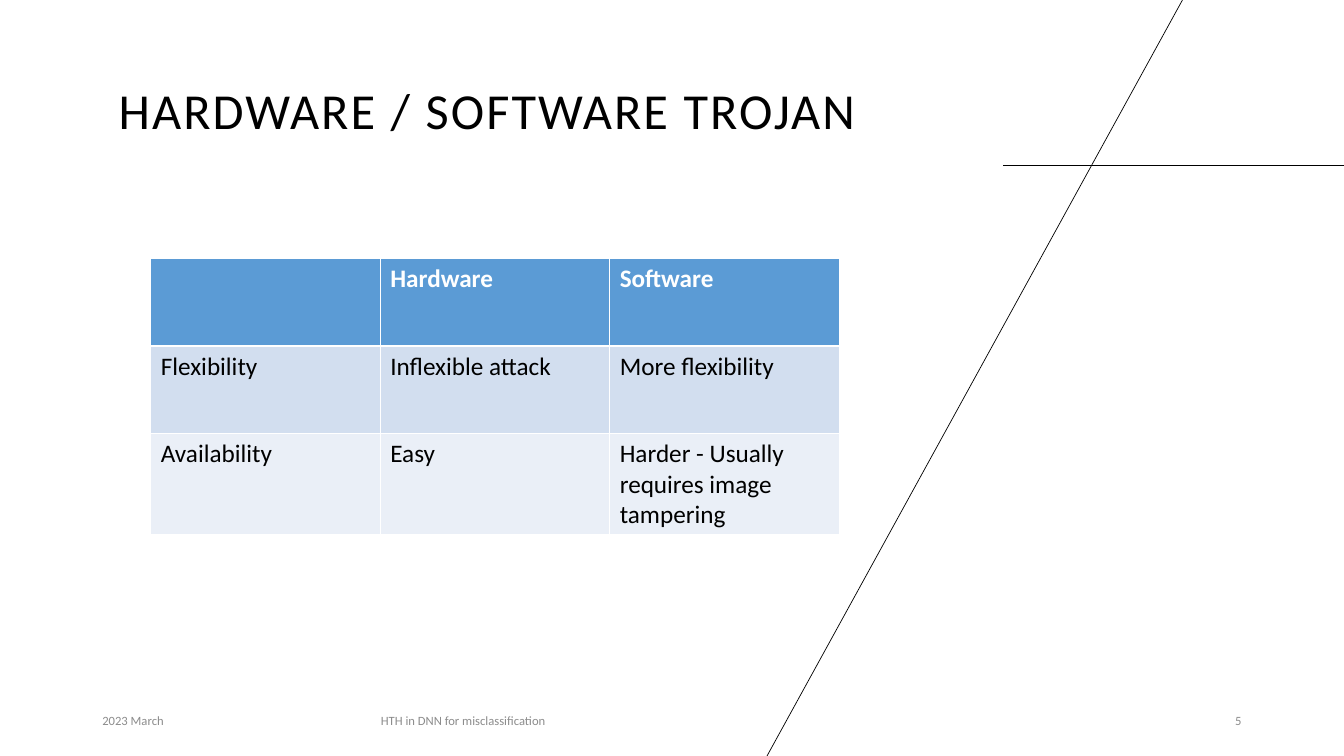
from lxml.etree import SubElement
from pptx import Presentation
from pptx.dml.color import RGBColor
from pptx.enum.shapes import MSO_CONNECTOR
from pptx.enum.text import MSO_ANCHOR, PP_ALIGN
from pptx.oxml.ns import qn
from pptx.util import Cm, Pt

PAGE_WIDTH, PAGE_HEIGHT = 33.87, 19.05
ROWS = [
    ("", "Hardware", "Software"),
    ("Flexibility", "Inflexible attack", "More flexibility"),
    ("Availability", "Easy", "Harder - Usually requires image tampering"),
]
ROW_FILLS = ["5B9BD5", "D2DEEF", "EAEFF7"]


def color(value):
    """Turn a hex string into a colour."""
    return RGBColor.from_string(value)


def style(para, size, ink, bold=False):
    """Set the font of a whole paragraph."""
    para.font.name = "Calibri"
    para.font.size = Pt(size)
    para.font.bold = bold
    para.font.color.rgb = color(ink)


def add_text(page, box, text, size, ink, anchor, align=PP_ALIGN.LEFT):
    """Place one line of text in a box and return its paragraph."""
    frame = page.shapes.add_textbox(*map(Cm, box)).text_frame
    frame.word_wrap = True
    frame.vertical_anchor = anchor
    para = frame.paragraphs[0]
    para.text = text
    para.alignment = align
    style(para, size, ink)
    return para


def add_crossing_lines(page, box):
    """Draw the diagonal and the horizontal hairline within a box."""
    left, top, width, height = box
    right, bottom = left + width, top + height
    ends = [
        (right - 8.59, top + 4.17, right, top + 4.17),
        (right - 4.07, top, left, bottom),
    ]
    for points in ends:
        line = page.shapes.add_connector(MSO_CONNECTOR.STRAIGHT, *map(Cm, points))
        line.line.color.rgb = color("000000")
        line.line.width = Pt(0.5)
        SubElement(line._element.spPr, qn("a:effectLst"))


def add_title(page, box):
    """Place the letter-spaced title at the bottom of a box."""
    para = add_text(page, box, "HARDWARE / SOFTWARE TROJAN", 36, "000000", MSO_ANCHOR.BOTTOM)
    para.line_spacing = 0.9
    para.runs[0]._r.get_or_add_rPr().set("spc", "150")


def add_comparison(page, box):
    """Fill a box with the table comparing both kinds of trojan."""
    table = page.shapes.add_table(len(ROWS), len(ROWS[0]), *map(Cm, box)).table
    table.horz_banding = False
    for row, (texts, fill) in enumerate(zip(ROWS, ROW_FILLS)):
        header = row == 0
        for column, text in enumerate(texts):
            cell = table.cell(row, column)
            cell.fill.solid()
            cell.fill.fore_color.rgb = color(fill)
            cell.text = text
            style(cell.text_frame.paragraphs[0], 18, "FFFFFF" if header else "000000", header)


def add_footer(page, box):
    """Place date, subject and page number along a box."""
    left, top, width, height = box
    parts = [
        ("2023 March", 0, 3.38, PP_ALIGN.LEFT),
        ("HTH in DNN for misclassification", 4.5, 9.68, PP_ALIGN.CENTER),
        ("5", width - 7.62, 7.62, PP_ALIGN.RIGHT),
    ]
    for text, offset, span, align in parts:
        place = (left + offset, top, span, height)
        add_text(page, place, text, 9, "8C8C8C", MSO_ANCHOR.MIDDLE, align)


def main():
    """Build the slide and save it."""
    deck = Presentation()
    deck.slide_width, deck.slide_height = Cm(PAGE_WIDTH), Cm(PAGE_HEIGHT)
    page = deck.slides.add_slide(deck.slide_layouts[6])
    add_crossing_lines(page, (19.33, 0, PAGE_WIDTH - 19.33, PAGE_HEIGHT))
    add_title(page, (2.74, 2.03, 20.45, 1.63))
    add_comparison(page, (3.8, 6.52, 17.35, 6.6))
    add_footer(page, (2.33, 17.65, 29.21, 1.02))
    deck.save("out.pptx")


if __name__ == "__main__":
    main()
